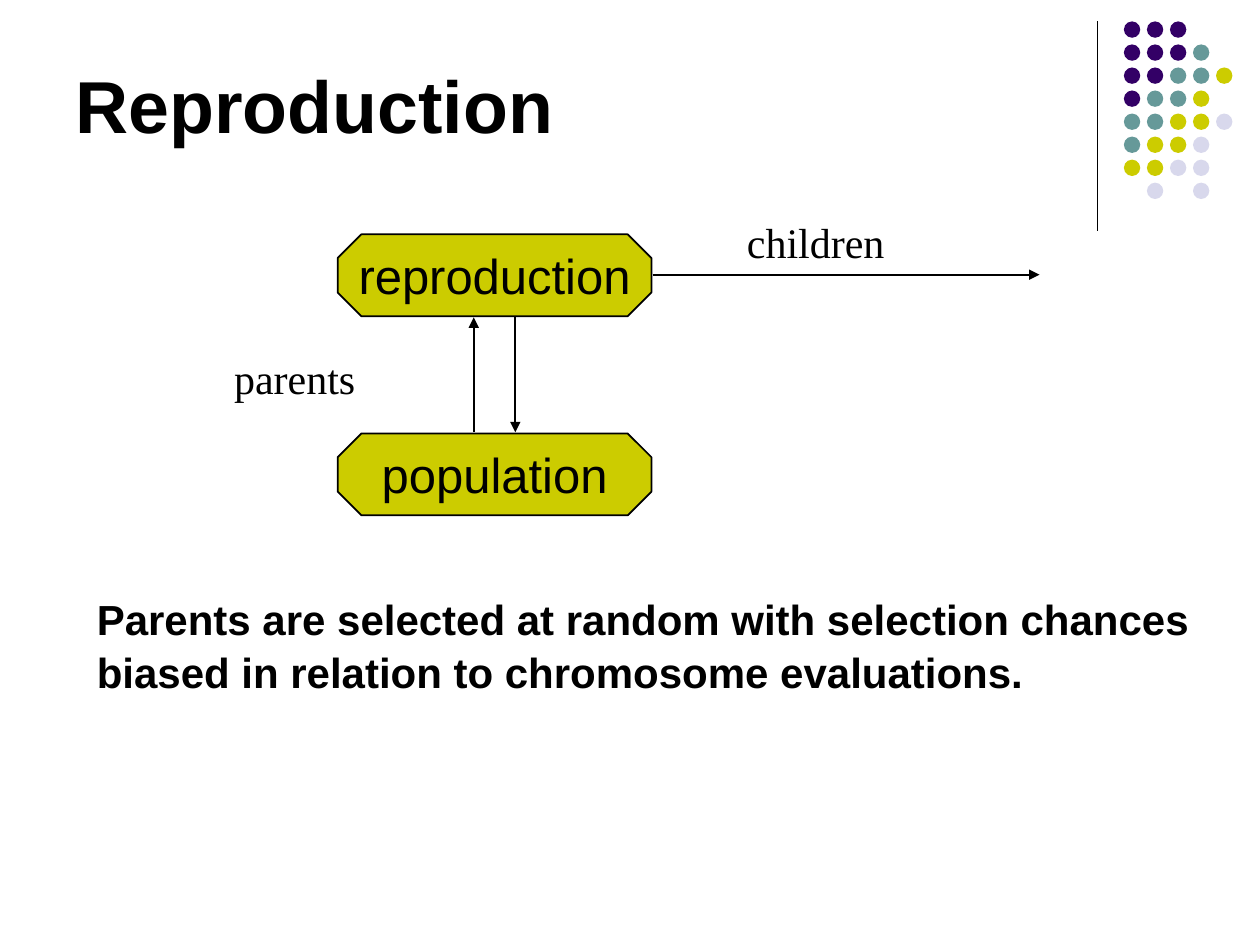
from dataclasses import dataclass

import pptx
import pptx.dml.color
import pptx.enum.shapes
import pptx.enum.text
import pptx.oxml.ns
import pptx.oxml.xmlchemy
import pptx.util
from pptx.util import Inches

HUES = {"black": "000000", "plum": "330066", "teal": "669999",
        "lime": "CCCC00", "pale": "D8D8EC"}
DOTS = {"P": "plum", "T": "teal", "L": "lime", "G": "pale"}
ROWS = ["PPP", "PPPT", "PPTTL", "PTTL", "TTLLG", "TLLG", "LLGG", " G G"]
STEP = 1.28 / 7
KINDS = pptx.enum.shapes.MSO_SHAPE
ANCHOR = pptx.enum.text.MSO_ANCHOR
ALIGN = pptx.enum.text.PP_ALIGN


@dataclass
class Node:
    text: str
    top: float


@dataclass
class Line:
    start: tuple[float, float]
    end: tuple[float, float]
    width: float = 1
    arrow: bool = True


@dataclass
class Label:
    text: str
    box: tuple[float, float, float, float]
    font: str = "Times New Roman"
    bold: bool = False
    wrap: bool = False
    space: float = 1.0


NODES = [Node("reproduction", 1.86), Node("population", 3.44)]
LINES = [
    Line((8.71, 0.17), (8.71, 1.83), 0.75, False),
    Line((5.18, 2.18), (8.25, 2.18)),
    Line((3.76, 3.43), (3.76, 2.52)),
    Line((4.09, 2.52), (4.09, 3.43)),
]
LABELS = [
    Label("parents", (1.76, 2.75, 1.16, 0.5)),
    Label("children", (5.83, 1.67, 1.29, 0.5)),
    Label("Parents are selected at random with selection chances "
          "biased in relation to chromosome evaluations.",
          (0.67, 4.64, 8.94, 0.9), "Arial", True, True, 1.05),
]


def hue(name: str) -> pptx.dml.color.RGBColor:
    return pptx.dml.color.RGBColor.from_string(HUES[name])


def style(para, size: float, face: str = "Arial", bold: bool = False) -> None:
    font = para.font
    font.size = pptx.util.Pt(size)
    font.name = face
    font.bold = bold
    font.color.rgb = hue("black")


def draw_shape(slide, kind, box: tuple, fill: str):
    shape = slide.shapes.add_shape(kind, *map(Inches, box))
    shape.shadow.inherit = False
    shape.fill.solid()
    shape.fill.fore_color.rgb = hue(fill)
    shape.line.fill.background()
    return shape


def draw_dots(slide) -> None:
    for row, marks in enumerate(ROWS):
        for col, mark in enumerate(marks):
            if mark in DOTS:
                box = (8.92 + col * STEP, 0.17 + row * STEP, 0.13, 0.13)
                draw_shape(slide, KINDS.OVAL, box, DOTS[mark])


def draw_node(slide, node: Node) -> None:
    shape = draw_shape(slide, KINDS.OCTAGON, (2.68, node.top, 2.49, 0.65), "lime")
    shape.adjustments[0] = 0.29
    shape.line.color.rgb = hue("black")
    shape.line.width = pptx.util.Pt(1)
    frame = shape.text_frame
    frame.text = node.text
    frame.word_wrap = False
    frame.vertical_anchor = ANCHOR.MIDDLE
    para = frame.paragraphs[0]
    para.alignment = ALIGN.CENTER
    style(para, 28)


def draw_line(slide, line: Line) -> None:
    link = slide.shapes.add_connector(
        pptx.enum.shapes.MSO_CONNECTOR.STRAIGHT,
        *map(Inches, line.start + line.end))
    link.line.color.rgb = hue("black")
    link.line.width = pptx.util.Pt(line.width)
    make = pptx.oxml.xmlchemy.OxmlElement
    if line.arrow:
        tip = make("a:tailEnd")
        tip.set("type", "triangle")
        link.get_or_add_ln().append(tip)
    props = link._element.find(pptx.oxml.ns.qn("p:spPr"))
    props.append(make("a:effectLst"))


def draw_label(slide, label: Label) -> None:
    frame = slide.shapes.add_textbox(*map(Inches, label.box)).text_frame
    frame.text = label.text
    frame.word_wrap = label.wrap
    para = frame.paragraphs[0]
    para.line_spacing = label.space
    style(para, 24, label.font, label.bold)


def draw_title(slide) -> None:
    title = slide.shapes.title
    title.left, title.top, title.width, title.height = map(
        Inches, (0.5, 0.13, 8.25, 1.1))
    frame = title.text_frame
    frame.text = "Reproduction"
    frame.vertical_anchor = ANCHOR.BOTTOM
    para = frame.paragraphs[0]
    para.alignment = ALIGN.LEFT
    style(para, 42, bold=True)


def main() -> None:
    deck = pptx.Presentation()
    deck.slide_width = Inches(10)
    deck.slide_height = Inches(7.5)
    slide = deck.slides.add_slide(deck.slide_layouts[5])
    draw_title(slide)
    draw_dots(slide)
    for node in NODES:
        draw_node(slide, node)
    for line in LINES:
        draw_line(slide, line)
    for label in LABELS:
        draw_label(slide, label)
    deck.save("out.pptx")


if __name__ == "__main__":
    main()
